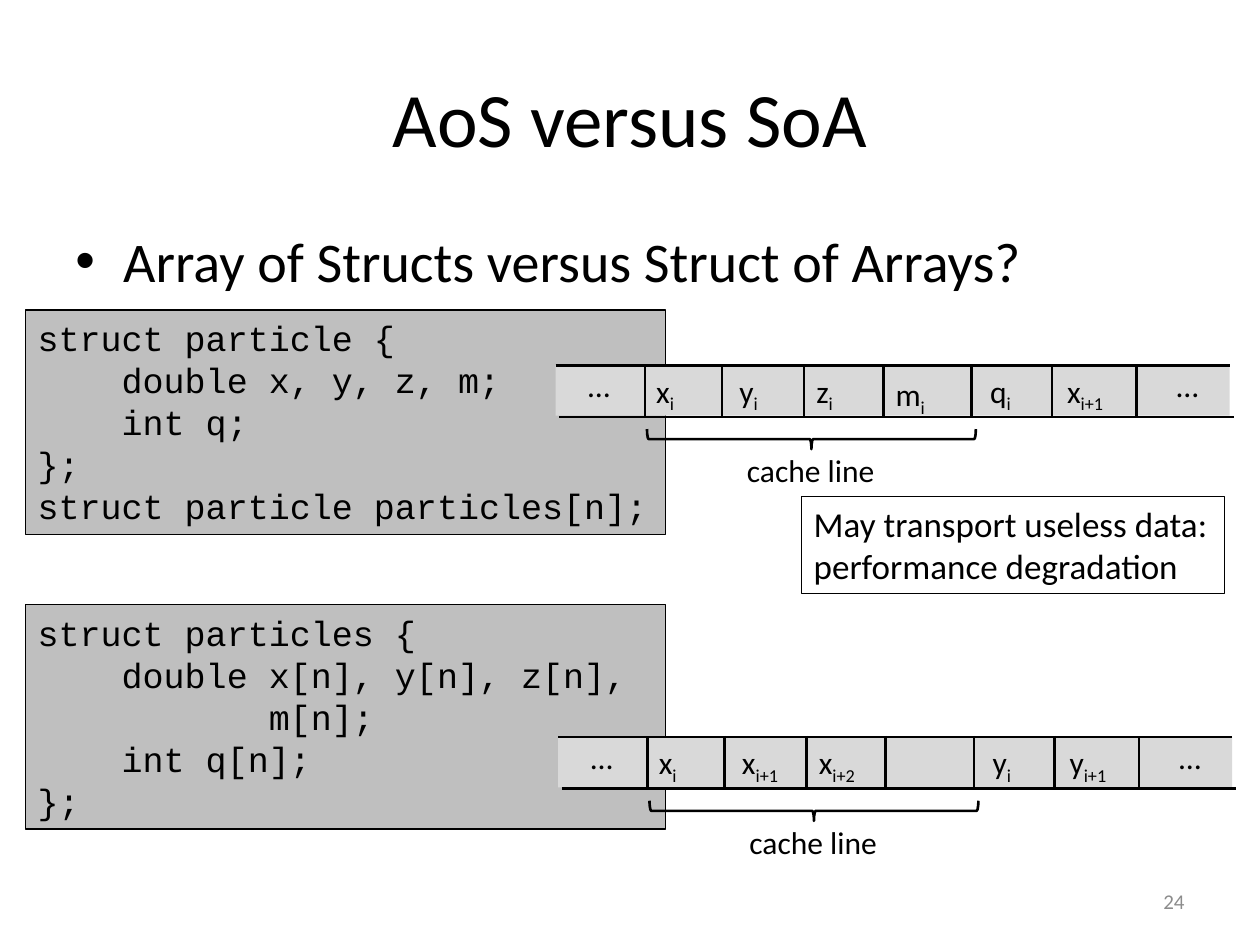
from pptx import Presentation
from pptx.dml.color import RGBColor
from pptx.enum import shapes as es, text as et
from pptx.oxml import ns
from pptx.util import Inches, Pt
from lxml import etree

BLACK = RGBColor(0x00, 0x00, 0x00)
GRAY = RGBColor(0xBF, 0xBF, 0xBF)
PALE = RGBColor(0xD9, 0xD9, 0xD9)
DIM = RGBColor(0x8C, 0x8C, 0x8C)
CODE_A = """struct particle {
    double x, y, z, m;
    int q;
};
struct particle particles[n];"""
CODE_B = """struct particles {
    double x[n], y[n], z[n],
           m[n];
    int q[n];
};"""
CELLS_A = ["x i", "y i", "z i", "m i", "q i", "x i+1"]
CELLS_B = ["x i", "x i+1", "x i+2", "", "y i", "y i+1"]
LABELS = [0.7, 1.36, 1.97, 2.6, 3.35, 3.96]
RULES = [0.71, 1.32, 1.97, 2.6, 3.3, 3.94, 4.61]
WIDTHS = {"m i": 0.44, "q i": 0.37}


def style(font, size, name="Calibri", color=BLACK):
    """Format a font."""
    for key, val in {"size": Pt(size), "name": name}.items():
        setattr(font, key, val)
    font.color.rgb = color


def setup(frame, **extra):
    """Set the layout of a text frame."""
    form = {"word_wrap": True, "auto_size": et.MSO_AUTO_SIZE.NONE,
            "vertical_anchor": et.MSO_ANCHOR.TOP}
    for key, val in {**form, **extra}.items():
        setattr(frame, key, val)


def write(parts, words, box, size=18, color=BLACK, align=et.PP_ALIGN.LEFT, **extra):
    """Add a text box and return its paragraph."""
    frame = parts.add_textbox(*map(Inches, box)).text_frame
    setup(frame, **extra)
    para = frame.paragraphs[0]
    para.text, para.alignment = words, align
    for run in para.runs:
        style(run.font, size, color=color)
    return para


def shape(parts, kind, box, fill=None, width=0):
    """Add a flat preset shape."""
    item = parts.add_shape(kind, *map(Inches, box))
    item.shadow.inherit = False
    if fill is None:
        item.fill.background()
    else:
        item.fill.solid()
        item.fill.fore_color.rgb = fill
    if width:
        item.line.color.rgb, item.line.width = BLACK, Pt(width)
    else:
        item.line.fill.background()
    return item


def rule(parts, *ends):
    """Add a straight black line."""
    line = parts.add_connector(es.MSO_CONNECTOR.STRAIGHT, *map(Inches, ends))
    line.line.color.rgb, line.line.width = BLACK, Pt(1.5)
    etree.SubElement(line._element.spPr, ns.qn("a:effectLst"))


def head(slide, words, box):
    """Place the slide title."""
    title = slide.shapes.title
    for key, val in zip(("left", "top", "width", "height"), box):
        setattr(title, key, Inches(val))
    title.text = words
    setup(title.text_frame, vertical_anchor=et.MSO_ANCHOR.MIDDLE)
    para = title.text_frame.paragraphs[0]
    para.alignment = et.PP_ALIGN.CENTER
    style(para.runs[0].font, 44)


def bullet(parts, words, box):
    """Add a bulleted line."""
    props = write(parts, words, box, 32)._p.get_or_add_pPr()
    props.set("marL", str(Inches(0.38)))
    props.set("indent", str(-Inches(0.38)))
    etree.SubElement(props, ns.qn("a:buFont")).set("typeface", "Arial")
    etree.SubElement(props, ns.qn("a:buChar")).set("char", "•")


def code(parts, words, box):
    """Add a gray panel of code."""
    frame = shape(parts, es.MSO_SHAPE.RECTANGLE, box, GRAY, 0.75).text_frame
    setup(frame)
    frame.text = words
    for para in frame.paragraphs:
        para.alignment = et.PP_ALIGN.LEFT
        style(para.runs[0].font, 20, "Courier New")


def cell(parts, words, left, top):
    """Add a name with its subscript index."""
    name, sub = words.split()
    wide = WIDTHS.get(words, 0.35 if sub == "i" else 0.52)
    para = write(parts, name, (left, top, wide, 0.4), word_wrap=False)
    run = para.add_run()
    run.text = sub
    style(run.font, 18)
    run.font._element.set("baseline", "-25000")


def memory(slide, cells, box):
    """Draw a strip of memory with its cache line."""
    left, top, wide, high = box
    parts = slide.shapes.add_group_shape().shapes
    shape(parts, es.MSO_SHAPE.RECTANGLE, box, PALE)
    for words, step in zip(cells, LABELS):
        if words:
            cell(parts, words, left + step, top + (0.03 if words == "m i" else 0))
    for step in RULES:
        rise = 0 if step in (RULES[0], RULES[-1]) else 0.01
        rule(parts, left + step, top - rise, left + step, top + 0.41 - rise)
    for shift, drop in ((0, 0), (0.03, 0.41)):
        rule(parts, left + shift, top + drop, left + shift + wide, top + drop)
    for step in (0.16, 4.83):
        write(parts, "…", (left + step, top - 0.04, 0.38, high), word_wrap=False)
    brace = shape(parts, es.MSO_SHAPE.LEFT_BRACE,
                  (left + 1.95, top - 0.72, 0.16, 2.61), width=1.5)
    brace.rotation = 270
    write(parts, "cache line", (left + 1.42, top + 0.63, 1.23, 0.4), word_wrap=False)


def note(parts, words, box):
    """Add a framed remark."""
    shape(parts, es.MSO_SHAPE.RECTANGLE, box, width=0.75)
    write(parts, words, box, 20, word_wrap=False)


def main():
    """Build the slide."""
    deck = Presentation()
    deck.slide_width, deck.slide_height = Inches(10), Inches(7.5)
    slide = deck.slides.add_slide(deck.slide_layouts[5])
    parts = slide.shapes
    head(slide, "AoS versus SoA", (0.5, 0.3, 9, 1.25))
    bullet(parts, "Array of Structs versus Struct of Arrays?", (0.5, 1.75, 9, 4.95))
    code(parts, CODE_A, (0.2, 2.46, 5.08, 1.78))
    code(parts, CODE_B, (0.2, 4.8, 5.08, 1.78))
    memory(slide, CELLS_B, (4.43, 5.85, 5.35, 0.4))
    memory(slide, CELLS_A, (4.41, 2.9, 5.35, 0.4))
    note(parts, "May transport useless data:\vperformance degradation",
         (6.36, 3.94, 3.36, 0.77))
    write(parts, "24", (7.17, 6.95, 2.33, 0.4), 12, DIM, et.PP_ALIGN.RIGHT,
          vertical_anchor=et.MSO_ANCHOR.MIDDLE)
    deck.save("out.pptx")


if __name__ == "__main__":
    main()
